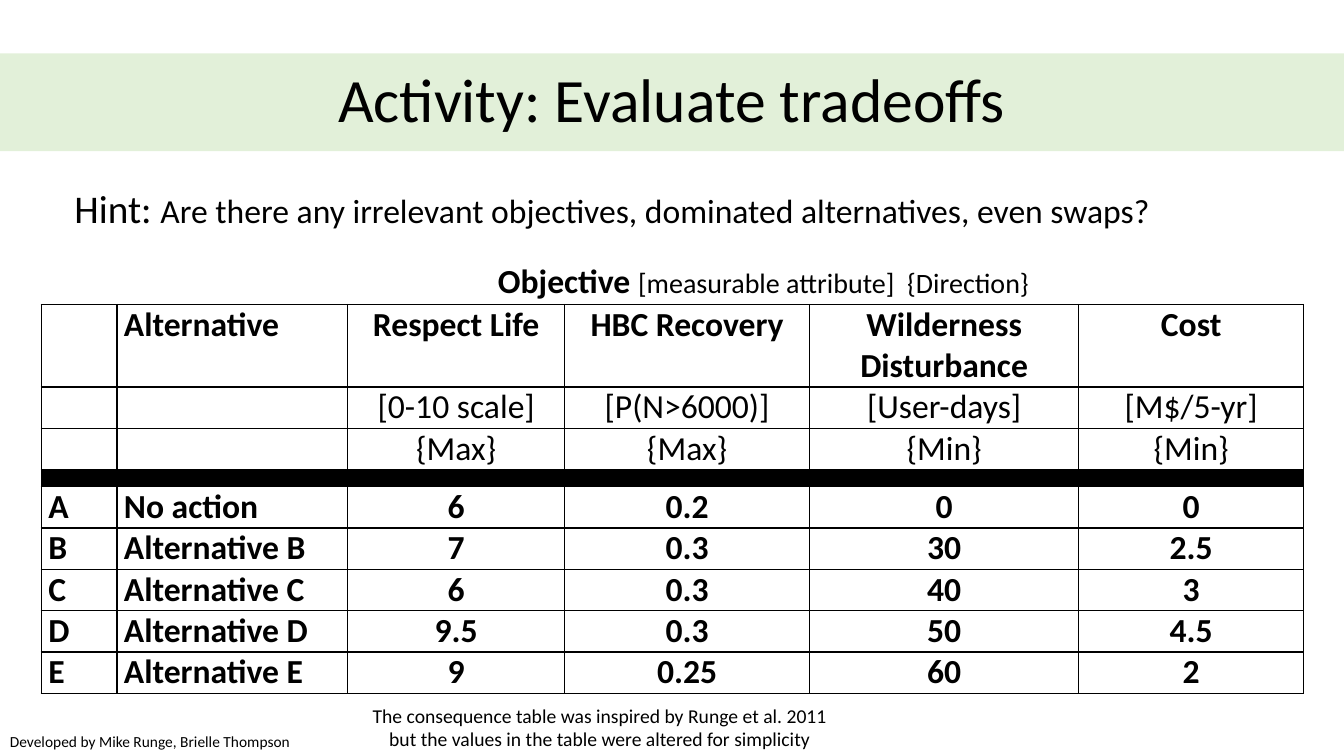
from lxml import etree
from pptx import Presentation
from pptx.dml.color import RGBColor
from pptx.enum.text import MSO_ANCHOR, PP_ALIGN
from pptx.oxml.ns import qn
from pptx.util import Inches, Pt

LEFT, CENTER = PP_ALIGN.LEFT, PP_ALIGN.CENTER
TOP, MIDDLE = MSO_ANCHOR.TOP, MSO_ANCHOR.MIDDLE

BLACK = RGBColor(0x00, 0x00, 0x00)
WHITE = RGBColor(0xFF, 0xFF, 0xFF)
PALE_GREEN = RGBColor(0xE2, 0xF0, 0xD9)
FONT = "Calibri"
TITLE_ONLY = 5

COLUMN_WIDTHS = [0.75, 2.29, 2.15, 2.43, 2.67, 2.23]
LINE_HEIGHT = 0.41
DIVIDER_HEIGHT = 0.17
HEADER_ROWS = [
    ["", "Alternative", "Respect Life", "HBC Recovery", "Wilderness Disturbance", "Cost"],
    ["", "", "[0-10 scale]", "[P(N>6000)]", "[User-days]", "[M$/5-yr]"],
    ["", "", "{Max}", "{Max}", "{Min}", "{Min}"],
]
DIVIDER_ROW = [""] * len(COLUMN_WIDTHS)
ALTERNATIVE_ROWS = [
    ["A", "No action", "6", "0.2", "0", "0"],
    ["B", "Alternative B", "7", "0.3", "30", "2.5"],
    ["C", "Alternative C", "6", "0.3", "40", "3"],
    ["D", "Alternative D", "9.5", "0.3", "50", "4.5"],
    ["E", "Alternative E", "9", "0.25", "60", "2"],
]


def add_run(paragraph, text, size, bold=False):
    run = paragraph.add_run()
    run.text = text
    run.font.name = FONT
    run.font.size = Pt(size)
    run.font.bold = bold
    run.font.color.rgb = BLACK


def add_title(slide, box, text):
    title = slide.shapes.title
    title.left, title.top, title.width, title.height = map(Inches, box)
    title.fill.solid()
    title.fill.fore_color.rgb = PALE_GREEN
    title.text_frame.vertical_anchor = MIDDLE
    paragraph = title.text_frame.paragraphs[0]
    paragraph.alignment = CENTER
    paragraph.line_spacing = 0.9
    add_run(paragraph, text, 44)


def add_text(slide, box, runs, alignment=LEFT):
    """Each run is (text, size) or (text, size, bold)."""
    frame = slide.shapes.add_textbox(*map(Inches, box)).text_frame
    frame.word_wrap = True
    paragraph = frame.paragraphs[0]
    paragraph.alignment = alignment
    for run in runs:
        add_run(paragraph, *run)


def set_borders(cell):
    properties = cell._tc.get_or_add_tcPr()
    for side in ("a:lnL", "a:lnR", "a:lnT", "a:lnB"):
        line = etree.SubElement(properties, qn(side), w=str(Pt(1)))
        fill = etree.SubElement(line, qn("a:solidFill"))
        etree.SubElement(fill, qn("a:srgbClr"), val=str(BLACK))


def fill_cell(cell, text, bold, alignment, color, empty_size):
    set_borders(cell)
    cell.margin_left = cell.margin_right = Inches(0.07)
    cell.margin_top = cell.margin_bottom = 0
    cell.vertical_anchor = TOP
    if color is None:
        cell.fill.background()
    else:
        cell.fill.solid()
        cell.fill.fore_color.rgb = color
    paragraph = cell.text_frame.paragraphs[0]
    paragraph.alignment = alignment
    if text:
        add_run(paragraph, text, 24, bold)
    else:
        # The end mark sets the line height of an empty cell
        etree.SubElement(paragraph._p, qn("a:endParaRPr"), sz=str(empty_size * 100))


def add_consequence_table(slide, left, top):
    rows = HEADER_ROWS + [DIVIDER_ROW] + ALTERNATIVE_ROWS
    divider = len(HEADER_ROWS)
    heights = [LINE_HEIGHT] * len(rows)
    heights[0] = 2 * LINE_HEIGHT
    heights[divider] = DIVIDER_HEIGHT
    box = (left, top, sum(COLUMN_WIDTHS), sum(heights))
    table = slide.shapes.add_table(
        len(rows), len(COLUMN_WIDTHS), *map(Inches, box)).table
    table.first_row = table.horz_banding = False
    for column, width in zip(table.columns, COLUMN_WIDTHS):
        column.width = Inches(width)

    for row_index, row in enumerate(rows):
        table.rows[row_index].height = Inches(heights[row_index])
        bold = row_index == 0 or row_index > divider
        for column_index, text in enumerate(row):
            is_value = column_index >= 2
            color = None
            if row_index == divider:
                color = BLACK
            elif row_index > divider and is_value:
                color = WHITE
            fill_cell(table.cell(row_index, column_index), text, bold,
                      CENTER if is_value else LEFT, color,
                      10 if row_index == divider else 24)


def build_tradeoffs_slide(presentation):
    slide = presentation.slides.add_slide(presentation.slide_layouts[TITLE_ONLY])
    # Consequence table and its heading
    add_consequence_table(slide, 0.41, 3.02)
    add_text(slide, (4.84, 2.53, 7.55, 0.5),
             [("Objective ", 24, True), ("[measurable attribute]  {Direction}", 20)])
    # Source note
    add_text(slide, (3.48, 6.93, 4.94, 0.57),
             [("The consequence table was inspired by Runge et al. 2011 "
               "but the values in the table were altered for simplicity", 14)], CENTER)
    # Hint
    add_text(slide, (0.64, 1.78, 12.69, 0.57),
             [("Hint: ", 28),
              ("Are there any irrelevant objectives, dominated alternatives, even swaps?", 24)])
    # Credit
    add_text(slide, (0, 7.21, 9.8, 0.29),
             [("Developed by Mike Runge, Brielle Thompson", 11)])
    # Title band
    add_title(slide, (0, 0.53, 13.33, 0.97), "Activity: Evaluate tradeoffs")


def main():
    presentation = Presentation()
    presentation.slide_width = Inches(13.33)
    presentation.slide_height = Inches(7.5)
    build_tradeoffs_slide(presentation)
    presentation.save("out.pptx")


if __name__ == "__main__":
    main()
